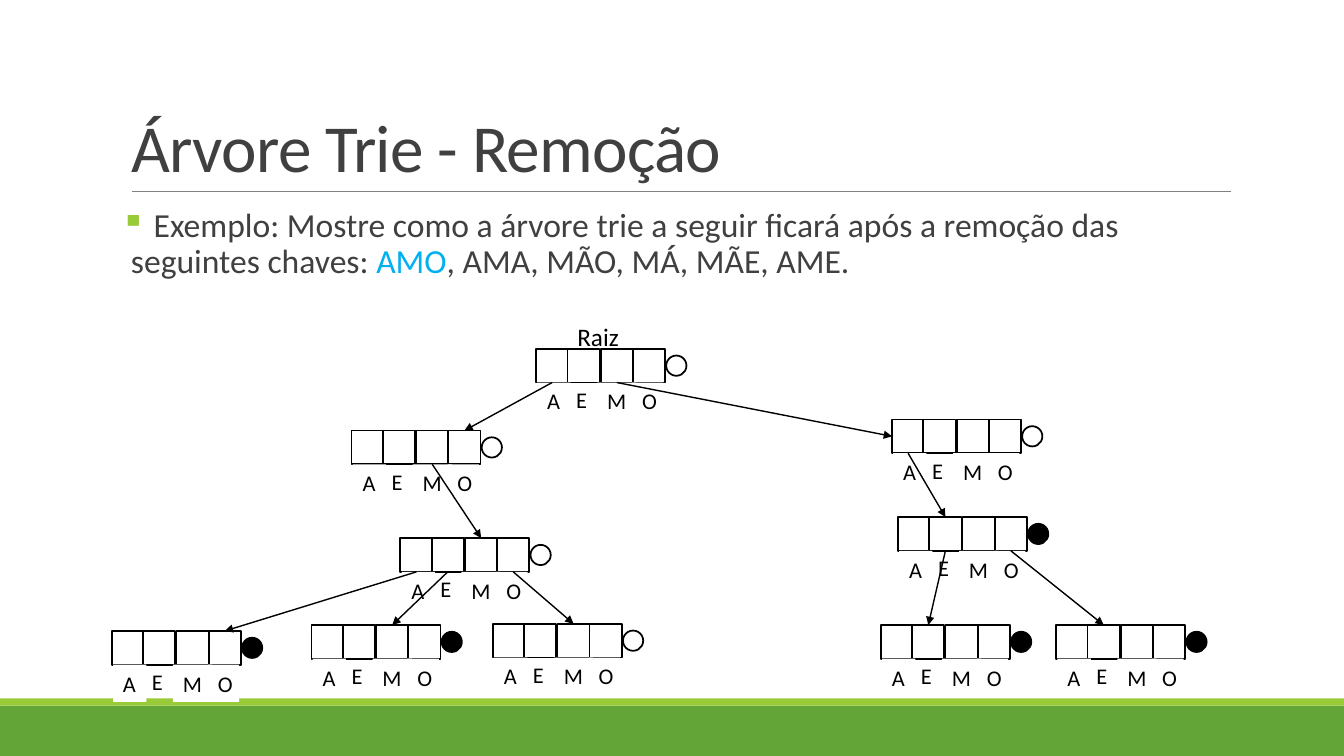
from lxml.etree import SubElement
from pptx import Presentation
from pptx.dml.color import RGBColor
from pptx.enum.shapes import MSO_CONNECTOR as Link, MSO_SHAPE as Shape
from pptx.enum.text import MSO_ANCHOR as Anchor, MSO_AUTO_SIZE as Fit, PP_ALIGN as Align
from pptx.oxml.ns import qn
from pptx.util import Cm, Pt

BLACK = RGBColor(0x00, 0x00, 0x00)
WHITE = RGBColor(0xFF, 0xFF, 0xFF)
TEXT = RGBColor(0x40, 0x40, 0x40)
GRAY = RGBColor(0x80, 0x80, 0x80)
GREEN = RGBColor(0x63, 0xA5, 0x37)
LIME = RGBColor(0x99, 0xCB, 0x38)
BLUE = RGBColor(0x00, 0xB0, 0xF0)

TOP, LEFT, BOTTOM = 0, 1, 2
KEYS = "AEMO"
# Left edge of each cell within a node
CELLS = (0, 0.79, 1.63, 2.44)
# Letter, left, top, width, fill, wrap
LABELS = (
    ("A", 0.03, 0.85, 0.84, WHITE, False),
    ("M", 1.54, 0.85, 0.99, WHITE, False),
    ("O", 2.42, 0.85, 0.79, WHITE, True),
    ("E", 0.76, 0.82, 0.79, None, False),
)
# Node, left, top, key ends here, parent, parent's cell, own cell, side
TREE = (
    ("", 13.51, 8.79, False, None, None, None, None),
    ("A", 8.86, 10.85, False, "", "M", "O", TOP),
    ("AM", 10.09, 13.56, False, "A", "M", "M", TOP),
    ("AMO", 12.42, 15.72, False, "AM", "O", "M", TOP),
    ("M", 22.48, 10.57, False, "", "M", "A", LEFT),
    ("MA", 22.63, 13.03, True, "M", "A", "E", TOP),
    ("MAE", 22.2, 15.75, True, "MA", "E", "E", TOP),
    ("AME", 7.85, 15.75, True, "AM", "E", "M", TOP),
    ("AMA", 2.82, 15.9, True, "AM", "A", "O", TOP),
    ("MAO", 26.62, 15.75, True, "MA", "O", "E", TOP),
)


class Deck:
    """Style and current slide."""

    font = "Calibri"

    def __init__(self):
        self.prs = Presentation()
        self.prs.slide_width, self.prs.slide_height = Cm(33.87), Cm(19.05)
        self.slide = self.prs.slides.add_slide(self.prs.slide_layouts[5])
        self.shapes = self.slide.shapes

    def style(self, run, size, color):
        run.font.name, run.font.size = self.font, Pt(size)
        run.font.color.rgb = color

    def title(self, text, x, y, w, h):
        box = self.shapes.title
        box.left, box.top, box.width, box.height = Cm(x), Cm(y), Cm(w), Cm(h)
        frame = box.text_frame
        frame.text = text
        frame.vertical_anchor, frame.auto_size = Anchor.BOTTOM, Fit.NONE
        par = frame.paragraphs[0]
        par.alignment, par.line_spacing = Align.LEFT, 0.85
        self.style(par.runs[0], 48, TEXT)
        par.runs[0].font._element.set("spc", "-50")

    def bullet(self, parts, x, y, w, h):
        frame = self.shapes.add_textbox(Cm(x), Cm(y), Cm(w), Cm(h)).text_frame
        frame.word_wrap = True
        frame.margin_left = frame.margin_right = 0
        par = frame.paragraphs[0]
        par.line_spacing, par.space_before, par.space_after = 0.9, Pt(12), Pt(2)
        for text, color in parts:
            run = par.add_run()
            run.text = text
            self.style(run, 24, color)
        props = par._p.get_or_add_pPr()
        props.set("marL", str(Cm(0.25)))
        props.set("indent", str(-Cm(0.25)))
        tint = SubElement(props, qn("a:buClr"))
        SubElement(tint, qn("a:srgbClr"), val=str(LIME))
        SubElement(props, qn("a:buChar"), char="▪")

    def label(self, shapes, text, size, x, y, w, h, fill=None, wrap=False):
        box = shapes.add_textbox(Cm(x), Cm(y), Cm(w), Cm(h))
        if fill is not None:
            box.fill.solid()
            box.fill.fore_color.rgb = fill
        frame = box.text_frame
        frame.text = text
        frame.word_wrap, frame.auto_size = wrap, Fit.SHAPE_TO_FIT_TEXT
        self.style(frame.paragraphs[0].runs[0], size, BLACK)

    def block(self, shapes, kind, x, y, w, h, fill, line=None):
        item = shapes.add_shape(kind, Cm(x), Cm(y), Cm(w), Cm(h))
        item.shadow.inherit = False
        item.fill.solid()
        item.fill.fore_color.rgb = fill
        if line is None:
            item.line.fill.background()
        else:
            item.line.color.rgb, item.line.width = line, Pt(1.25)
        return item

    def line(self, x1, y1, x2, y2, color, width):
        item = self.shapes.add_connector(
            Link.STRAIGHT, Cm(x1), Cm(y1), Cm(x2), Cm(y2))
        item.line.color.rgb, item.line.width = color, Pt(width)
        SubElement(item._element.spPr, qn("a:effectLst"))
        return item

    def arrow(self, start, end, side):
        item = self.line(0, 0, 1, 1, BLACK, 1)
        item.begin_connect(start, BOTTOM)
        item.end_connect(end, side)
        SubElement(item.line._get_or_add_ln(), qn("a:tailEnd"), type="triangle")

    def node(self, x, y, final):
        """Draw one trie node and return its cells by letter."""
        shapes = self.shapes.add_group_shape().shapes
        cells = {
            key: self.block(shapes, Shape.RECTANGLE, x + dx, y, 0.81, 0.85, WHITE, BLACK)
            for key, dx in zip(KEYS, CELLS)
        }
        self.block(shapes, Shape.OVAL, x + 3.28, y + 0.17, 0.51, 0.51,
                   BLACK if final else WHITE, BLACK)
        for key, dx, dy, w, fill, wrap in LABELS:
            self.label(shapes, key, 16, x + dx, y + dy, w, 0.94, fill, wrap)
        return cells


def main():
    deck = Deck()

    # Footer bands and title rule
    deck.block(deck.shapes, Shape.RECTANGLE, 0, 17.78, 33.87, 1.27, GREEN)
    deck.block(deck.shapes, Shape.RECTANGLE, 0, 17.6, 33.87, 0.18, LIME)
    deck.line(3.32, 4.83, 31.01, 4.83, GRAY, 0.5)

    # Title and task
    deck.title("Árvore Trie - Remoção", 3.05, 0.79, 27.94, 4.03)
    deck.bullet((
        (" Exemplo: Mostre como a árvore trie a seguir ficará após a remoção "
         "das seguintes chaves: ", TEXT),
        ("AMO", BLUE),
        (", AMA, MÃO, MÁ, MÃE, AME.", TEXT),
    ), 3.05, 5.13, 27.94, 11.18)

    # Trie
    deck.label(deck.shapes, "Raiz", 18, 14.3, 7.98, 1.57, 1.02)
    nodes = {}
    for name, x, y, final, above, out, into, side in TREE:
        nodes[name] = deck.node(x, y, final)
        if above is not None:
            # The first child hangs from the root's first cell
            key = "A" if name == "A" else out
            deck.arrow(nodes[above][key], nodes[name][into], side)

    deck.prs.save("out.pptx")


if __name__ == "__main__":
    main()
